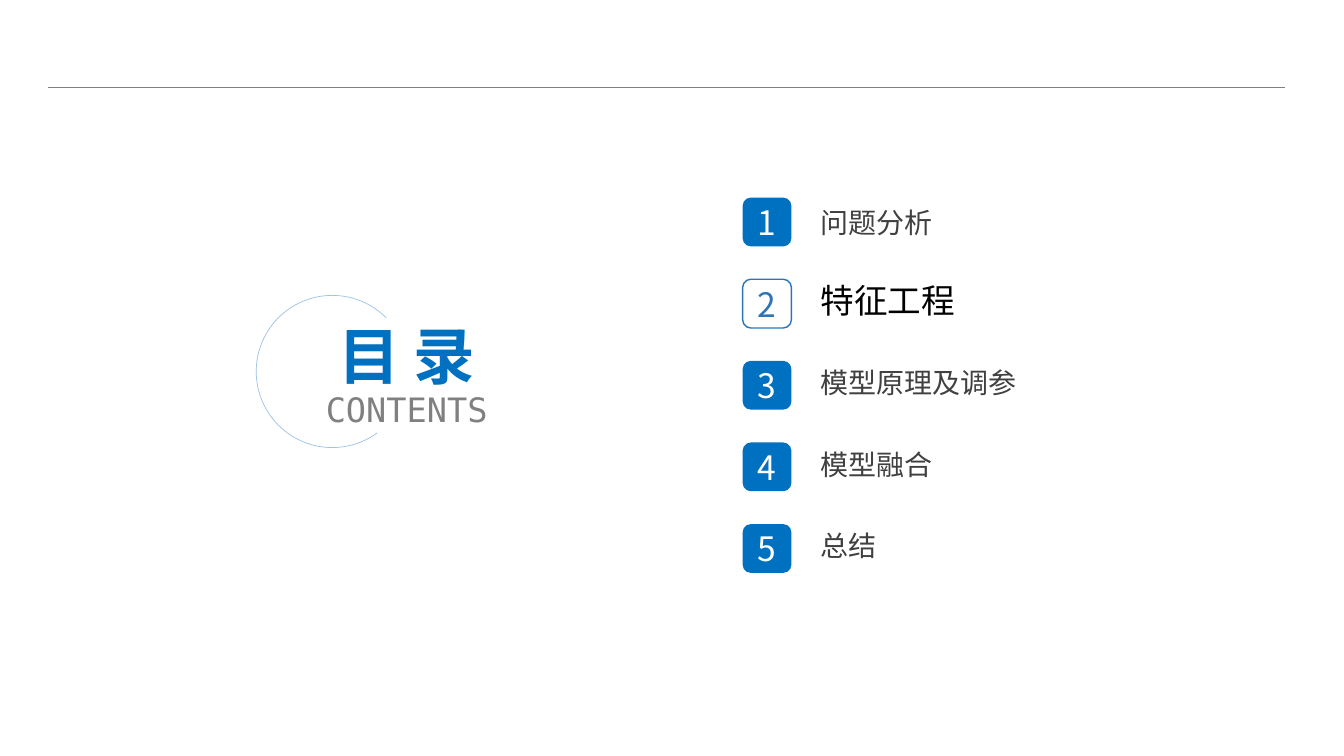
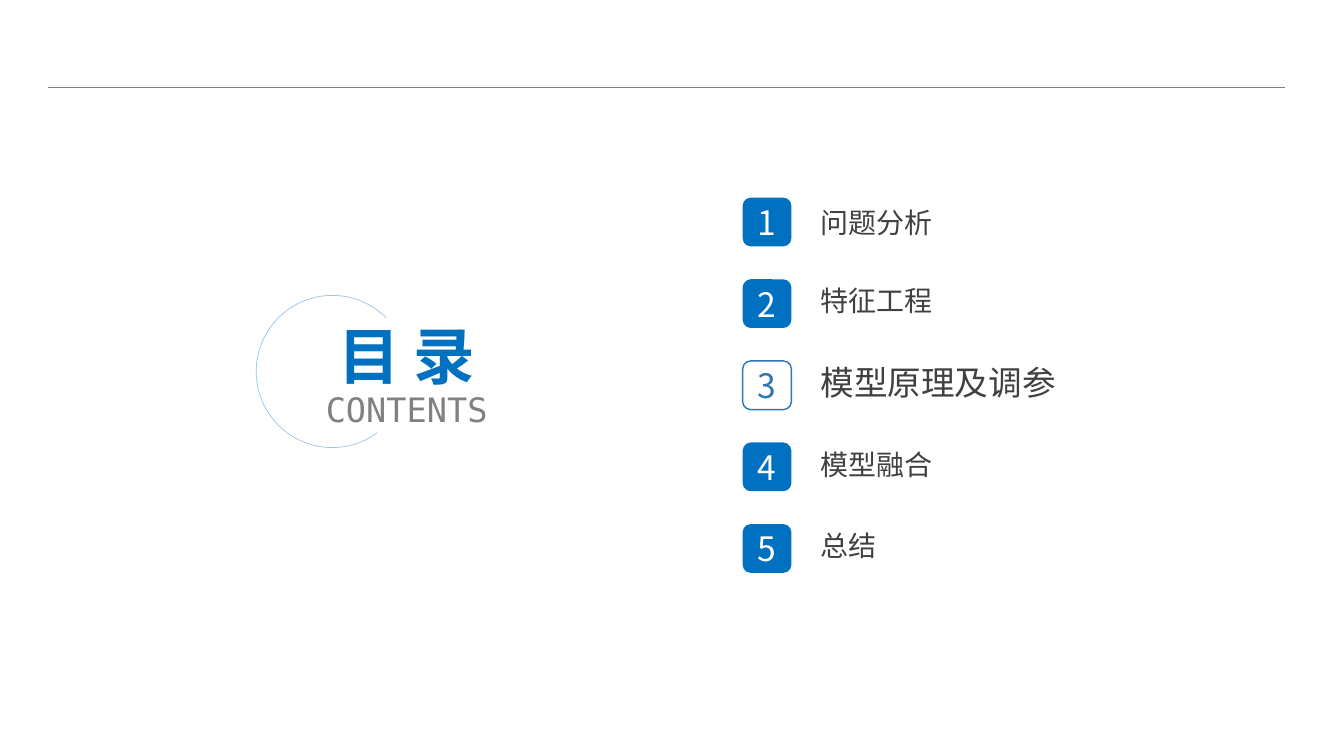
from lxml.etree import SubElement
from pptx import Presentation
from pptx.dml.color import RGBColor
from pptx.enum.shapes import MSO_CONNECTOR, MSO_SHAPE
from pptx.enum.text import MSO_ANCHOR, MSO_AUTO_SIZE, PP_ALIGN
from pptx.oxml.ns import qn
from pptx.util import Pt

BLUE = RGBColor(0x00, 0x70, 0xC0)
EDGE = RGBColor(0x2E, 0x75, 0xB6)
PALE = RGBColor(0x9D, 0xC3, 0xE6)
WHITE = RGBColor(0xFF, 0xFF, 0xFF)
BLACK = RGBColor(0x00, 0x00, 0x00)
DARK = RGBColor(0x40, 0x40, 0x40)
GREY = RGBColor(0x80, 0x80, 0x80)
SANS = "Noto Sans CJK SC"
MONO = "DejaVu Sans Mono"

TOPICS = [
    ("问题分析", 139),
    ("特征工程", 195.1),
    ("模型原理及调参", 253.4),
    ("模型融合", 312.5),
    ("总结", 370.1),
]
PAGES = [(2, BLACK), (3, DARK)]
SIDE = 34.8
STEP = 58.3


def write(para, text, size, color, face=SANS, bold=False, align=PP_ALIGN.LEFT, space=1.0):
    para.alignment = align
    para.line_spacing = space
    run = para.add_run()
    run.text = text
    font = run.font
    font.size = Pt(size)
    font.bold = bold
    font.name = face
    font.color.rgb = color
    SubElement(font._element, qn("a:ea")).set("typeface", SANS)


deck = Presentation()
deck.slide_width = Pt(960)
deck.slide_height = Pt(540)

for active, accent in PAGES:
    slide = deck.slides.add_slide(deck.slide_layouts[5])
    shapes = slide.shapes

    title = shapes.title
    title.left, title.top, title.width, title.height = Pt(205.2), Pt(211), Pt(170.6), Pt(118)
    frame = title.text_frame
    frame.auto_size = MSO_AUTO_SIZE.NONE
    frame.vertical_anchor = MSO_ANCHOR.MIDDLE
    write(frame.paragraphs[0], "目 录", size=44, color=BLUE, face="Calibri",
          bold=True, align=PP_ALIGN.CENTER, space=0.9)
    write(frame.add_paragraph(), "CONTENTS", size=24, color=GREY, face=MONO,
          align=PP_ALIGN.CENTER, space=0.9)

    rule = shapes.add_connector(MSO_CONNECTOR.STRAIGHT, Pt(34.2), Pt(62.6), Pt(918), Pt(62.6))
    rule.line.color.rgb = GREY
    rule.line.width = Pt(0.5)
    SubElement(rule._element.spPr, qn("a:effectLst"))

    arc = shapes.add_shape(MSO_SHAPE.ARC, Pt(183), Pt(211), Pt(108.7), Pt(108.7))
    arc.shadow.inherit = False
    arc.adjustments[0] = 32.25
    arc.adjustments[1] = 189.11
    arc.fill.background()
    arc.line.color.rgb = PALE
    arc.line.width = Pt(0.5)

    for index, (topic, top) in enumerate(TOPICS):
        number = index + 1
        chosen = number == active

        badge = shapes.add_shape(MSO_SHAPE.ROUNDED_RECTANGLE, Pt(530.5),
                                 Pt(141.2 + index * STEP), Pt(SIDE), Pt(SIDE))
        badge.shadow.inherit = False
        badge.fill.solid()
        badge.fill.fore_color.rgb = WHITE if chosen else BLUE
        if chosen:
            badge.line.color.rgb = EDGE
            badge.line.width = Pt(1)
        else:
            badge.line.fill.background()
        frame = badge.text_frame
        frame.margin_left = frame.margin_right = frame.margin_top = frame.margin_bottom = 0
        frame.vertical_anchor = MSO_ANCHOR.MIDDLE
        write(frame.paragraphs[0], str(number), size=24,
              color=EDGE if chosen else WHITE, align=PP_ALIGN.CENTER)

        label = shapes.add_textbox(Pt(579), Pt(top), Pt(191.5), Pt(38.9))
        frame = label.text_frame
        frame.word_wrap = True
        frame.vertical_anchor = MSO_ANCHOR.MIDDLE
        write(frame.paragraphs[0], topic, size=24 if chosen else 20,
              color=accent if chosen else DARK)

deck.save("out.pptx")
